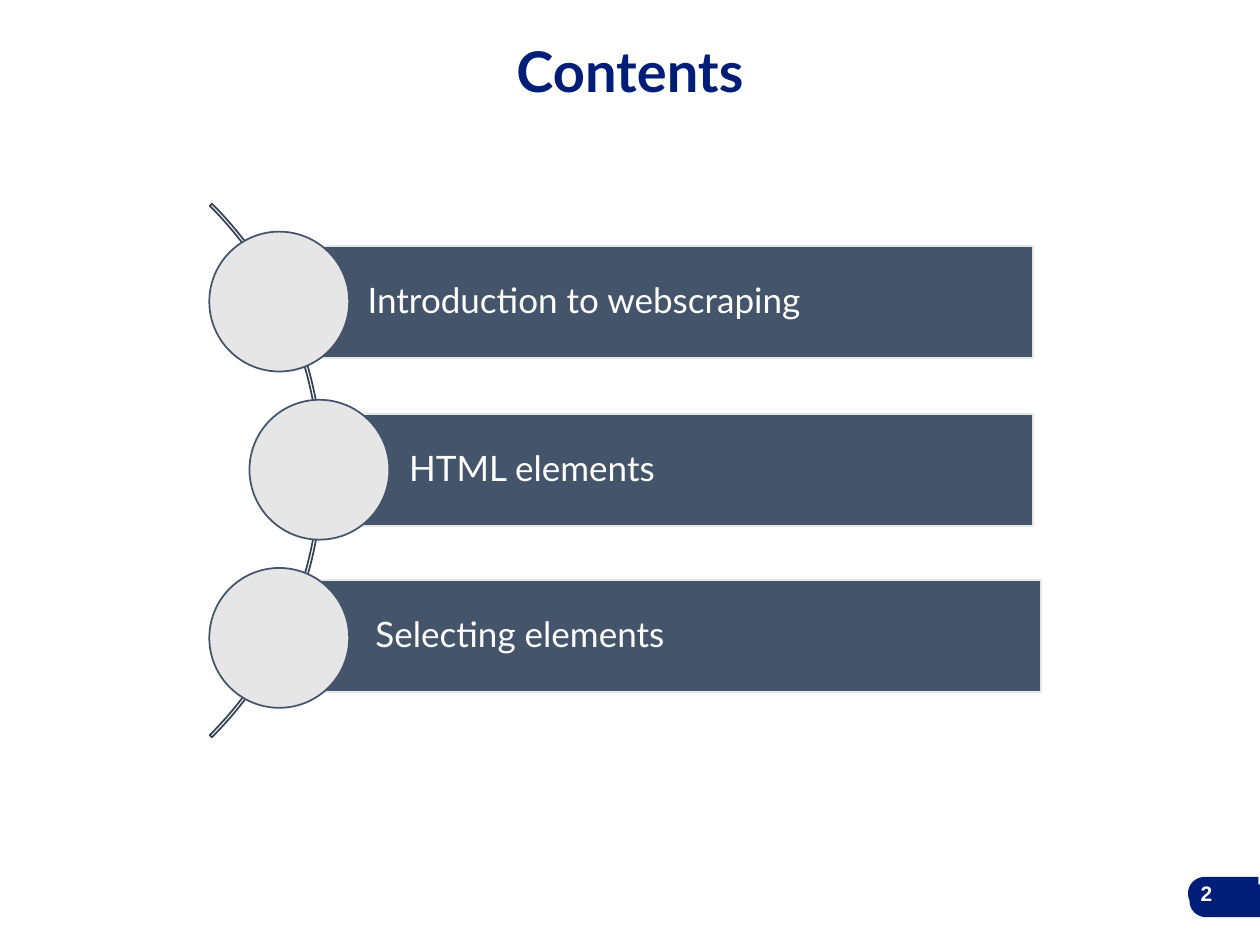
import math
from dataclasses import dataclass

from pptx import Presentation
from pptx import util as u
from pptx.dml.color import RGBColor
from pptx.enum import shapes, text

COLORS = {
    "navy": "001D77",
    "slate": "44546A",
    "arc": "364355",
    "light": "E7E6E6",
    "white": "FFFFFF",
}
CIRCLE_SIZE = 2.82
CIRCLE_TOP = 4.67
CIRCLE_PITCH = 3.39
BAR_HEIGHT = 2.26


@dataclass
class Topic:
    """One row of the contents list; lengths in centimetres."""
    label: str
    circle_left: float
    bar_left: float
    bar_top: float
    bar_width: float


TOPICS = [
    Topic("Introduction to webscraping", 4.22, 5.61, 4.96, 15.21),
    Topic("HTML elements", 5.03, 6.45, 8.34, 14.38),
    Topic("Selecting elements", 4.22, 5.77, 11.69, 15.21),
]


def color(name: str) -> RGBColor:
    return RGBColor.from_string(COLORS[name])


def paint(shape, fill: str | None, line: str | None) -> None:
    shape.shadow.inherit = False
    if fill:
        shape.fill.solid()
        shape.fill.fore_color.rgb = color(fill)
    else:
        shape.fill.background()
    if line:
        shape.line.color.rgb = color(line)
        shape.line.width = u.Pt(1)
    else:
        shape.line.fill.background()


def add_shape(slide, kind, box: tuple, fill: str | None, line: str | None):
    shape = slide.shapes.add_shape(kind, *map(u.Cm, box))
    paint(shape, fill, line)
    return shape


def write(shape, words: str, ink: str, frame_format: dict,
          font_format: dict, alignment) -> None:
    frame = shape.text_frame
    paragraph = frame.paragraphs[0]
    paragraph.alignment = alignment
    run = paragraph.add_run()
    run.text = words
    run.font.color.rgb = color(ink)
    for target, values in ((frame, {"word_wrap": True, **frame_format}),
                           (run.font, font_format)):
        for name, value in values.items():
            setattr(target, name, value)


def add_page_tab(slide, left: float, top: float) -> None:
    """Tab with a half-round left end and a square right end."""
    width, radius, steps = 1.42, 0.33, 24
    angles = [math.pi * (0.5 + step / steps) for step in range(steps + 1)]
    curve = [(u.Cm(left + radius + radius * math.cos(angle)),
              u.Cm(top + radius - radius * math.sin(angle))) for angle in angles]
    right = u.Cm(left + width)
    builder = slide.shapes.build_freeform(right, u.Cm(top))
    builder.add_line_segments(curve + [(right, u.Cm(top + 2 * radius))])
    paint(builder.convert_to_shape(), "navy", None)


def add_topic(slide, topic: Topic, circle_top: float) -> None:
    bar = add_shape(slide, shapes.MSO_SHAPE.RECTANGLE,
                    (topic.bar_left, topic.bar_top, topic.bar_width, BAR_HEIGHT),
                    "slate", "light")
    margins = {"margin_left": u.Cm(1.8), "margin_right": u.Cm(0.15),
               "margin_top": u.Cm(0.15), "margin_bottom": u.Cm(0.15)}
    write(bar, topic.label, "white",
          {"vertical_anchor": text.MSO_ANCHOR.MIDDLE, **margins},
          {"name": "Lato", "size": u.Pt(20)}, text.PP_ALIGN.LEFT)
    bar.text_frame.paragraphs[0].line_spacing = 0.9
    add_shape(slide, shapes.MSO_SHAPE.OVAL,
              (topic.circle_left, circle_top, CIRCLE_SIZE, CIRCLE_SIZE),
              "light", "slate")


def main() -> None:
    presentation = Presentation()
    presentation.slide_width = u.Cm(25.4)
    presentation.slide_height = u.Cm(19.05)
    slide = presentation.slides.add_slide(presentation.slide_layouts[6])

    # Page number on its tab
    for left, top in ((23.98, 17.83), (23.95, 17.68)):
        add_page_tab(slide, left, top)
    number = slide.shapes.add_textbox(*map(u.Cm, (18.97, 17.5, 5.72, 1.02)))
    write(number, "2", "white", {"vertical_anchor": text.MSO_ANCHOR.MIDDLE},
          {"name": "Arial", "size": u.Pt(12), "bold": True}, text.PP_ALIGN.RIGHT)

    # Title
    title = slide.shapes.add_textbox(*map(u.Cm, (0.76, 0.61, 23.88, 1.63)))
    write(title, "Contents", "navy", {},
          {"name": "Lato", "size": u.Pt(32), "bold": True}, text.PP_ALIGN.CENTER)

    # Arc behind the topics: start angle, end angle, thickness
    arc = add_shape(slide, shapes.MSO_SHAPE.BLOCK_ARC,
                    (-8.71, 1.88, 15.21, 15.21), None, "arc")
    for index, value in enumerate((189, 27, 0.004)):
        arc.adjustments[index] = value

    # Topics
    for index, topic in enumerate(TOPICS):
        add_topic(slide, topic, CIRCLE_TOP + index * CIRCLE_PITCH)

    presentation.save("out.pptx")


if __name__ == "__main__":
    main()
